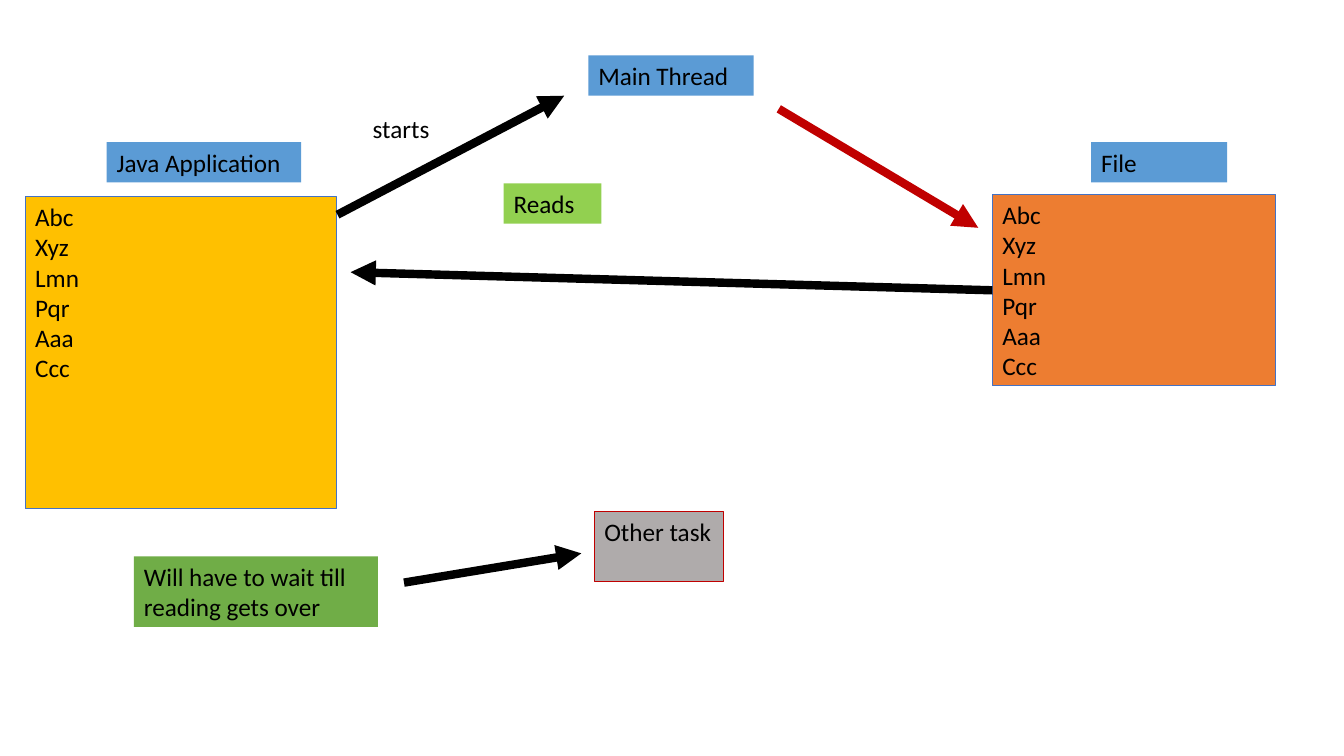
from dataclasses import dataclass

from pptx import Presentation, util as u
from pptx.dml.color import RGBColor
from pptx.enum import shapes, text
from pptx.oxml.ns import qn


@dataclass(frozen=True)
class Theme:
    font: str = "Calibri"
    size: int = 18
    thin: float = 0.75
    thick: int = 6
    ink: str = "000000"
    blue: str = "5B9BD5"
    edge: str = "4472C4"
    gold: str = "FFC000"
    orange: str = "ED7D31"
    lime: str = "92D050"
    green: str = "70AD47"
    gray: str = "AFABAB"
    red: str = "C00000"


@dataclass(frozen=True)
class Box:
    words: str
    left: float
    top: float
    width: float
    height: float = 0.4
    fill: str | None = None
    line: str | None = None


@dataclass(frozen=True)
class Arrow:
    start: tuple[float, float]
    end: tuple[float, float]
    color: str
    source: Box | None = None
    side: int = 0


T = Theme()
ROWS = "Abc\nXyz\nLmn\nPqr\nAaa\nCcc"
FILE = Box(ROWS, 9.85, 1.93, 2.81, 1.9, T.orange, T.edge)
BOXES = [
    FILE,
    Box("File", 10.83, 1.41, 1.35, fill=T.blue),
    Box(ROWS, 0.25, 1.95, 3.09, 3.1, T.gold, T.edge),
    Box("Java Application", 1.06, 1.41, 1.93, fill=T.blue),
    Box("Reads", 5, 1.82, 0.97, fill=T.lime),
    Box("Main Thread", 5.84, 0.55, 1.64, fill=T.blue),
    Box("starts", 3.6, 1.08, 0.81),
    Box("Other task", 5.9, 5.07, 1.28, 0.7, T.gray, T.red),
    Box("Will have to wait till reading gets over",
        1.33, 5.52, 2.42, 0.7, T.green),
]
ARROWS = [
    Arrow((9.85, 2.88), (3.48, 2.7), T.ink, FILE, 1),
    Arrow((3.35, 2.13), (5.6, 0.95), T.ink),
    Arrow((7.73, 1.08), (9.71, 2.26), T.red),
    Arrow((4.01, 5.78), (5.77, 5.49), T.ink),
]


def rgb(code: str) -> RGBColor:
    return RGBColor.from_string(code)


def draw_box(slide, box: Box):
    """Draw a filled rectangle, or a plain text box when there is no fill."""
    area = [u.Inches(n) for n in (box.left, box.top, box.width, box.height)]
    if box.fill:
        shape = slide.shapes.add_shape(shapes.MSO_SHAPE.RECTANGLE, *area)
        shape.shadow.inherit = False
        shape.fill.solid()
        shape.fill.fore_color.rgb = rgb(box.fill)
        if box.line:
            shape.line.color.rgb = rgb(box.line)
            shape.line.width = u.Pt(T.thin)
        else:
            shape.line.fill.background()
    else:
        shape = slide.shapes.add_textbox(*area)
    frame = shape.text_frame
    frame.word_wrap = True
    frame.vertical_anchor = text.MSO_ANCHOR.TOP
    frame.text = box.words
    for para in frame.paragraphs:
        para.alignment = text.PP_ALIGN.LEFT
        para.font.name = T.font
        para.font.size = u.Pt(T.size)
        para.font.color.rgb = rgb(T.ink)
    return shape


def draw_arrow(slide, arrow: Arrow, drawn: dict) -> None:
    ends = [u.Inches(n) for n in arrow.start + arrow.end]
    line = slide.shapes.add_connector(shapes.MSO_CONNECTOR.STRAIGHT, *ends)
    if arrow.source:
        line.begin_connect(drawn[arrow.source], arrow.side)
    line.line.color.rgb = rgb(arrow.color)
    line.line.width = u.Pt(T.thick)
    props = line.element.spPr
    stroke = props.find(qn("a:ln"))
    head = stroke.makeelement(qn("a:tailEnd"), {"type": "triangle"})
    stroke.append(head)
    props.append(props.makeelement(qn("a:effectLst"), {}))


def main() -> None:
    deck = Presentation()
    deck.slide_width = u.Inches(13.34)
    deck.slide_height = u.Inches(7.5)
    slide = deck.slides.add_slide(deck.slide_layouts[6])
    drawn = {box: draw_box(slide, box) for box in BOXES}
    for arrow in ARROWS:
        draw_arrow(slide, arrow, drawn)
    deck.save("out.pptx")


if __name__ == "__main__":
    main()
